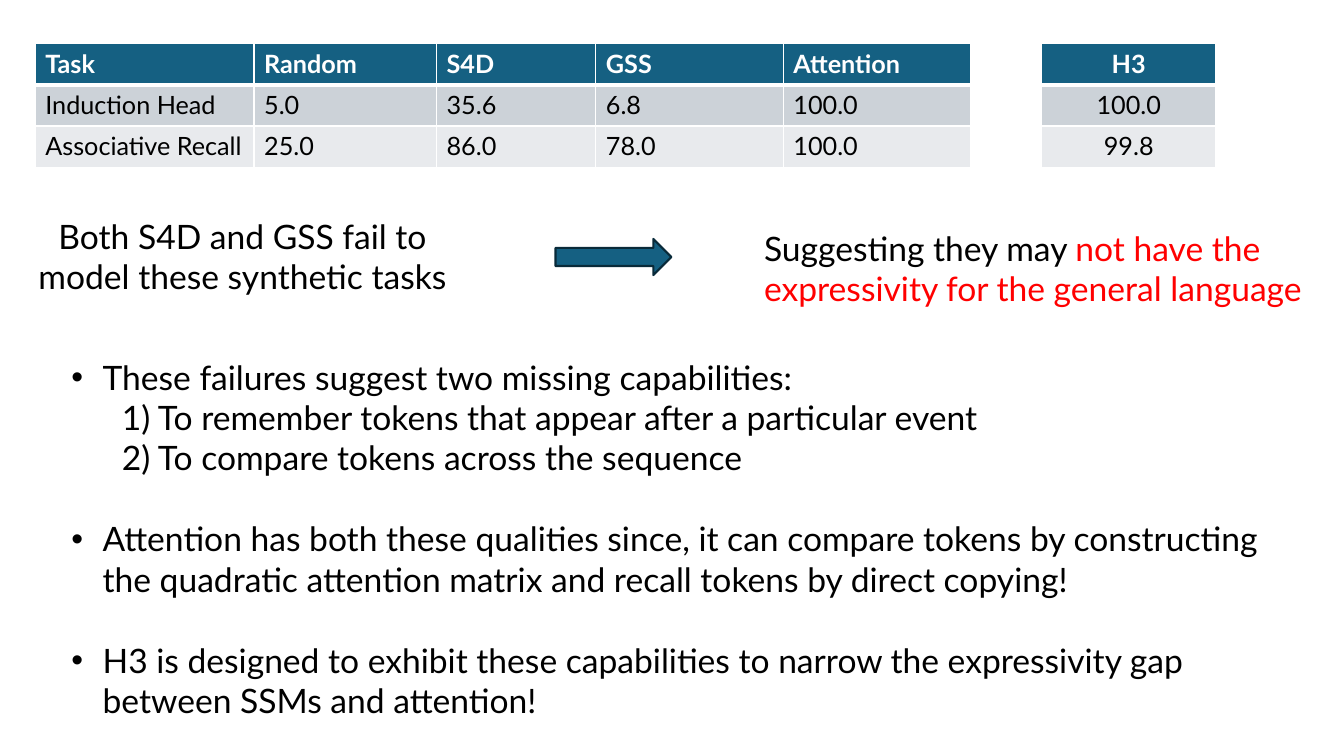
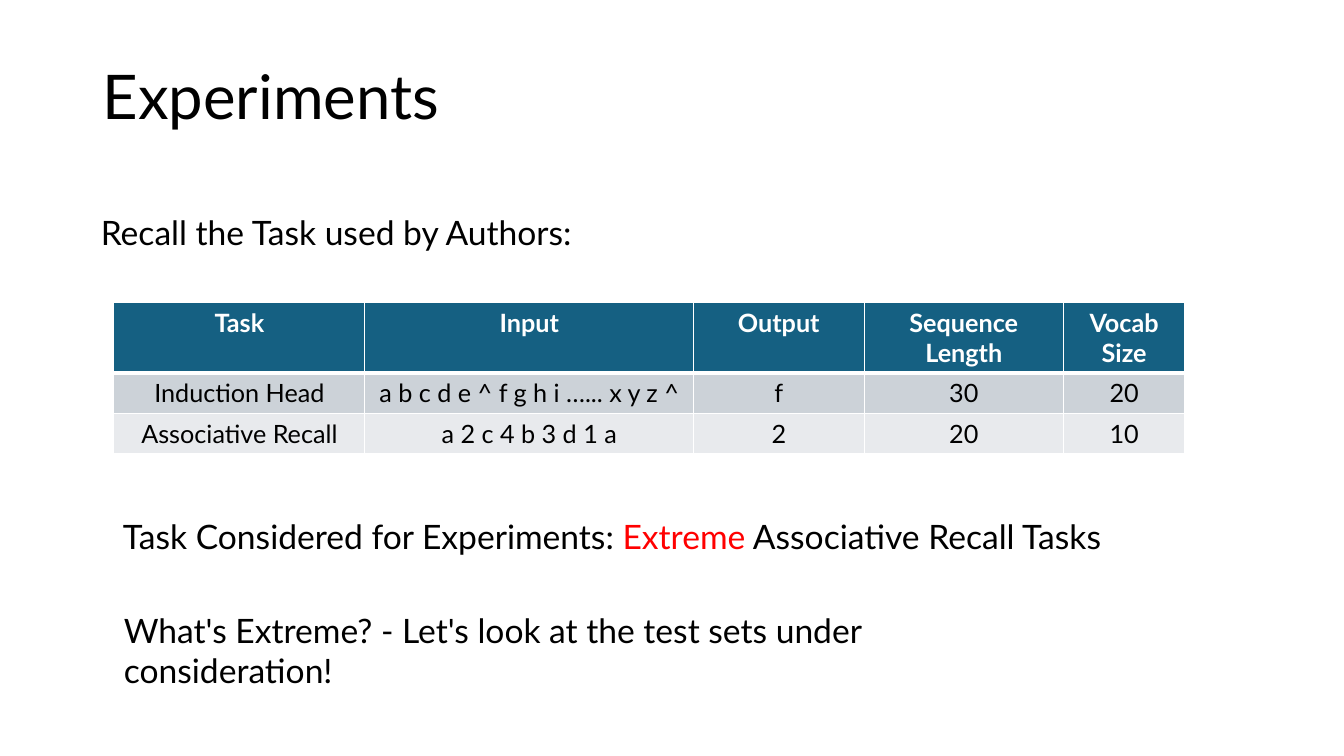
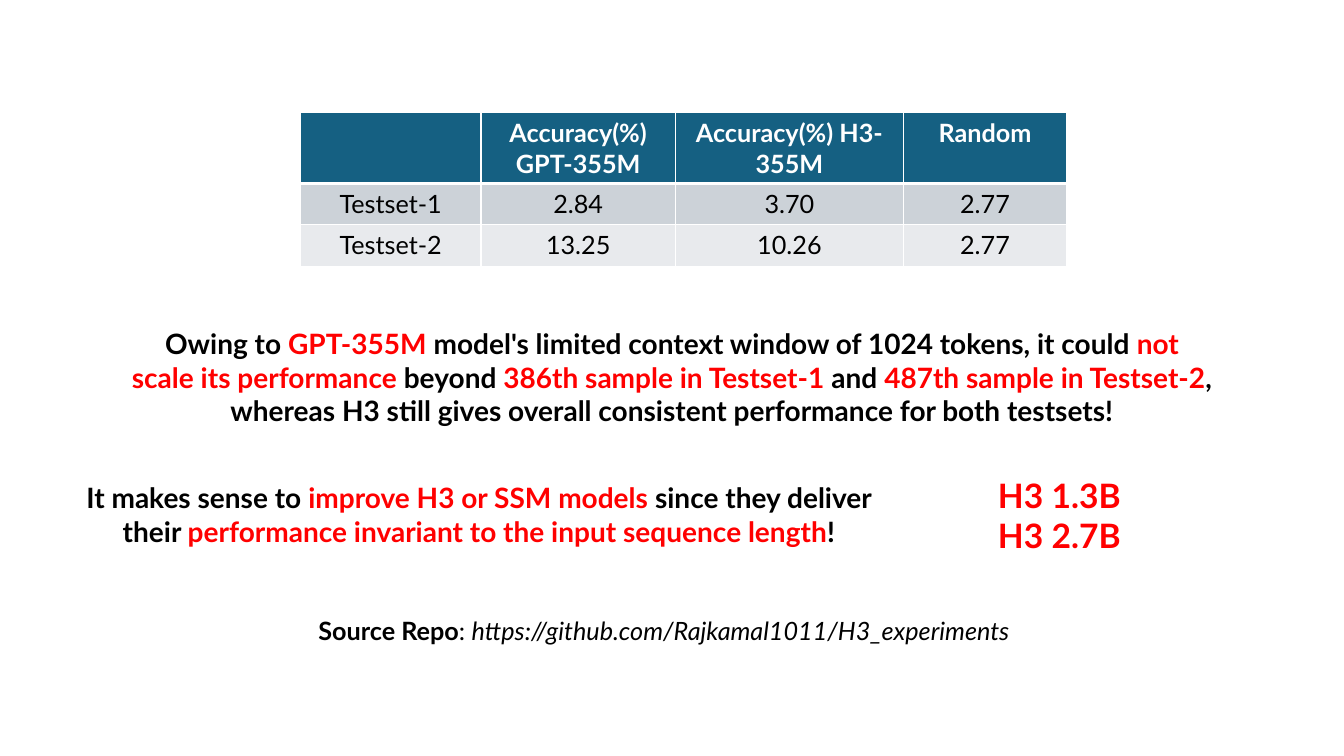
from typing import NamedTuple

from lxml.etree import SubElement
from pptx import Presentation
from pptx.dml.color import RGBColor
from pptx.enum.shapes import MSO_SHAPE
from pptx.enum.text import MSO_ANCHOR, PP_ALIGN
from pptx.oxml import parse_xml
from pptx.oxml.ns import nsdecls, qn
from pptx.slide import Slide
from pptx.table import _Cell
from pptx.text.text import _Paragraph, _Run
from pptx.util import Inches, Pt

FONT = "Lato"
BLACK = RGBColor(0x00, 0x00, 0x00)
WHITE = RGBColor(0xFF, 0xFF, 0xFF)
RED = RGBColor(0xFF, 0x00, 0x00)
TEAL = RGBColor(0x15, 0x60, 0x82)
NAVY = RGBColor(0x09, 0x2A, 0x39)
SILVER = RGBColor(0xCC, 0xD2, 0xD8)
PALE = RGBColor(0xE8, 0xEA, 0xED)
FILLS = (TEAL, SILVER, PALE)
LEFT, CENTER = PP_ALIGN.LEFT, PP_ALIGN.CENTER


class Box(NamedTuple):
    left: float
    top: float
    width: float
    height: float


class Span(NamedTuple):
    text: str
    ink: RGBColor = BLACK
    bold: bool = False
    italic: bool = False


class Para(NamedTuple):
    spans: list[Span]
    bullet: bool = False
    indent: float = 0
    before: float = 0


class Grid(NamedTuple):
    left: float
    top: float
    cols: list[float]
    rows: list[list[str]]
    head: float = 0.41
    body: float = 0.41
    align: PP_ALIGN = CENTER
    line: float = 1


def style(run: _Run, size: float, ink: RGBColor, bold: bool = False, italic: bool = False) -> None:
    font = run.font
    font.name, font.size = FONT, Pt(size)
    font.bold, font.italic = bold, italic
    font.color.rgb = ink


def set_bullet(para: _Paragraph, indent: float, bullet: bool) -> None:
    props = para._p.get_or_add_pPr()
    props.set("marL", str(Inches(indent)))
    if bullet:
        props.set("indent", str(-Inches(indent)))
        SubElement(props, qn("a:buFont")).set("typeface", "Arial")
        SubElement(props, qn("a:buChar")).set("char", "•")


def add_text(slide: Slide, box: Box, paras: list[Para], size: float = 24,
             align: PP_ALIGN = LEFT) -> None:
    frame = slide.shapes.add_textbox(*map(Inches, box)).text_frame
    frame.word_wrap = True
    for spot, item in enumerate(paras):
        para = frame.add_paragraph() if spot else frame.paragraphs[0]
        para.alignment = align
        if item.before:
            para.space_before = Pt(item.before)
        if item.indent:
            set_bullet(para, item.indent, item.bullet)
        for span in item.spans:
            run = para.add_run()
            run.text = span.text
            style(run, size, span.ink, span.bold, span.italic)


def add_title(slide: Slide, text: str) -> None:
    frame = slide.shapes.add_textbox(*map(Inches, (0.92, 0.26, 11.5, 1.45))).text_frame
    frame.word_wrap = True
    frame.vertical_anchor = MSO_ANCHOR.MIDDLE
    frame.text = text
    para = frame.paragraphs[0]
    para.line_spacing = 0.9
    style(para.runs[0], 44, BLACK)


def set_edges(cell: _Cell, row: int, line: float) -> None:
    thick = {(0, "B"), (1, "T")}
    props = cell._tc.get_or_add_tcPr()
    for spot, side in enumerate("LRTB"):
        width = Pt(line * 3 if (row, side) in thick else line)
        props.insert(spot, parse_xml(
            f'<a:ln{side} {nsdecls("a")} w="{width}"><a:solidFill>'
            f'<a:srgbClr val="{WHITE}"/></a:solidFill></a:ln{side}>'))


def add_grid(slide: Slide, grid: Grid) -> None:
    heights = [grid.head] + [grid.body] * (len(grid.rows) - 1)
    size = (grid.left, grid.top, sum(grid.cols), sum(heights))
    table = slide.shapes.add_table(len(grid.rows), len(grid.cols), *map(Inches, size)).table
    for col, width in zip(table.columns, grid.cols):
        col.width = Inches(width)
    for r, (row, height) in enumerate(zip(grid.rows, heights)):
        table.rows[r].height = Inches(height)
        for c, text in enumerate(row):
            cell = table.cell(r, c)
            cell.fill.solid()
            cell.fill.fore_color.rgb = FILLS[r]
            set_edges(cell, r, grid.line)
            cell.text = text
            para = cell.text_frame.paragraphs[0]
            para.alignment = grid.align
            for run in para.runs:
                style(run, 18, BLACK if r else WHITE, bold=r == 0)


def add_arrow(slide: Slide, box: Box) -> None:
    arrow = slide.shapes.add_shape(MSO_SHAPE.RIGHT_ARROW, *map(Inches, box))
    arrow.shadow.inherit = False
    arrow.fill.solid()
    arrow.fill.fore_color.rgb = TEAL
    arrow.line.color.rgb = NAVY
    arrow.line.width = Pt(1.5)


def plain(text: str) -> list[Para]:
    return [Para([Span(text)])]


def strong(*parts: str) -> list[Para]:
    return [Para([Span(part, RED if spot % 2 else BLACK, True)
                  for spot, part in enumerate(parts)])]


def point(text: str, before: float = 0) -> Para:
    return Para([Span(text)], True, 0.31, before)


def step(text: str) -> Para:
    return Para([Span(text)], indent=0.5)


def draw_gap(slide: Slide) -> None:
    add_grid(slide, Grid(0.35, 0.43, [2.17, 1.81, 1.58, 1.86, 1.86], [
        ["Task", "Random", "S4D", "GSS", "Attention"],
        ["Induction Head", "5.0", "35.6", "6.8", "100.0"],
        ["Associative Recall", "25.0", "86.0", "78.0", "100.0"],
    ], align=LEFT))
    add_grid(slide, Grid(10.33, 0.43, [1.73], [["H3"], ["100.0"], ["99.8"]]))
    add_text(slide, Box(0, 2.09, 4.81, 0.91),
             plain("Both S4D and GSS fail to model these synthetic tasks"), align=CENTER)
    add_arrow(slide, Box(5.51, 2.37, 1.15, 0.36))
    add_text(slide, Box(7.48, 2.21, 5.59, 0.91), [Para([
        Span("Suggesting they may "),
        Span("not have the expressivity for the general language", RED),
    ])])
    add_text(slide, Box(0.61, 3.49, 12.06, 3.74), [
        point("These failures suggest two missing capabilities:"),
        step("1) To remember tokens that appear after a particular event"),
        step("2) To compare tokens across the sequence"),
        point("Attention has both these qualities since, it can compare tokens by constructing "
              "the quadratic attention matrix and recall tokens by direct copying!", 29),
        point("H3 is designed to exhibit these capabilities to narrow the expressivity gap "
              "between SSMs and attention!", 29),
    ])


def draw_tasks(slide: Slide) -> None:
    add_title(slide, "Experiments")
    add_text(slide, Box(0.7, 2.05, 5.27, 0.5),
             plain("Recall the Task used by Authors:"), align=CENTER)
    add_grid(slide, Grid(1.13, 3, [2.49, 3.26, 1.69, 1.98, 1.2], [
        ["Task", "Input", "Output", "Sequence Length", "Vocab Size"],
        ["Induction Head", "a b c d e ^ f g h i …... x y z ^", "f", "30", "20"],
        ["Associative Recall", "a 2 c 4 b 3 d 1 a", "2", "20", "10"],
    ], head=0.69, body=0.4, line=0.81))
    add_text(slide, Box(1.12, 5.07, 10.45, 0.5), [Para([
        Span("Task Considered for Experiments:"),
        Span(" Extreme", RED),
        Span(" Associative Recall Tasks"),
    ])])
    add_text(slide, Box(1.13, 6, 9.6, 0.91),
             plain("What's Extreme? - Let's look at the test sets under consideration!"))


def draw_scores(slide: Slide) -> None:
    add_grid(slide, Grid(2.98, 1.12, [1.79, 1.93, 2.26, 1.62], [
        ["", "Accuracy(%) GPT-355M", "Accuracy(%) H3-355M", "Random"],
        ["Testset-1", "2.84", "3.70", "2.77"],
        ["Testset-2", "13.25", "10.26", "2.77"],
    ], head=0.7))
    add_text(slide, Box(1.2, 3.19, 10.93, 1.11), strong(
        "Owing to ", "GPT-355M",
        " model's limited context window of 1024 tokens, it could ",
        "not scale its performance", " beyond ", "386th sample in Testset-1 ",
        "and ", "487th sample in Testset-2",
        ", whereas H3 still gives overall consistent performance for both testsets!",
    ), 20, CENTER)
    add_text(slide, Box(0.51, 4.72, 8.48, 0.77), strong(
        "It makes sense to ", "improve H3 or SSM models", " since they deliver their ",
        "performance invariant to the input sequence length", "!",
    ), 20, CENTER)
    add_text(slide, Box(9.8, 4.66, 2.13, 0.91),
             [Para([Span(name, RED, True)]) for name in ("H3 1.3B", "H3 2.7B")])
    add_text(slide, Box(2.59, 6.06, 7.99, 0.4), [Para([
        Span("Source Repo", bold=True),
        Span(": "),
        Span("https://github.com/Rajkamal1011/H3_experiments", italic=True),
    ])], 18, CENTER)


def main() -> None:
    deck = Presentation()
    deck.slide_width, deck.slide_height = Inches(13.33), Inches(7.5)
    for draw in (draw_gap, draw_tasks, draw_scores):
        draw(deck.slides.add_slide(deck.slide_layouts[6]))
    deck.save("out.pptx")


if __name__ == "__main__":
    main()
